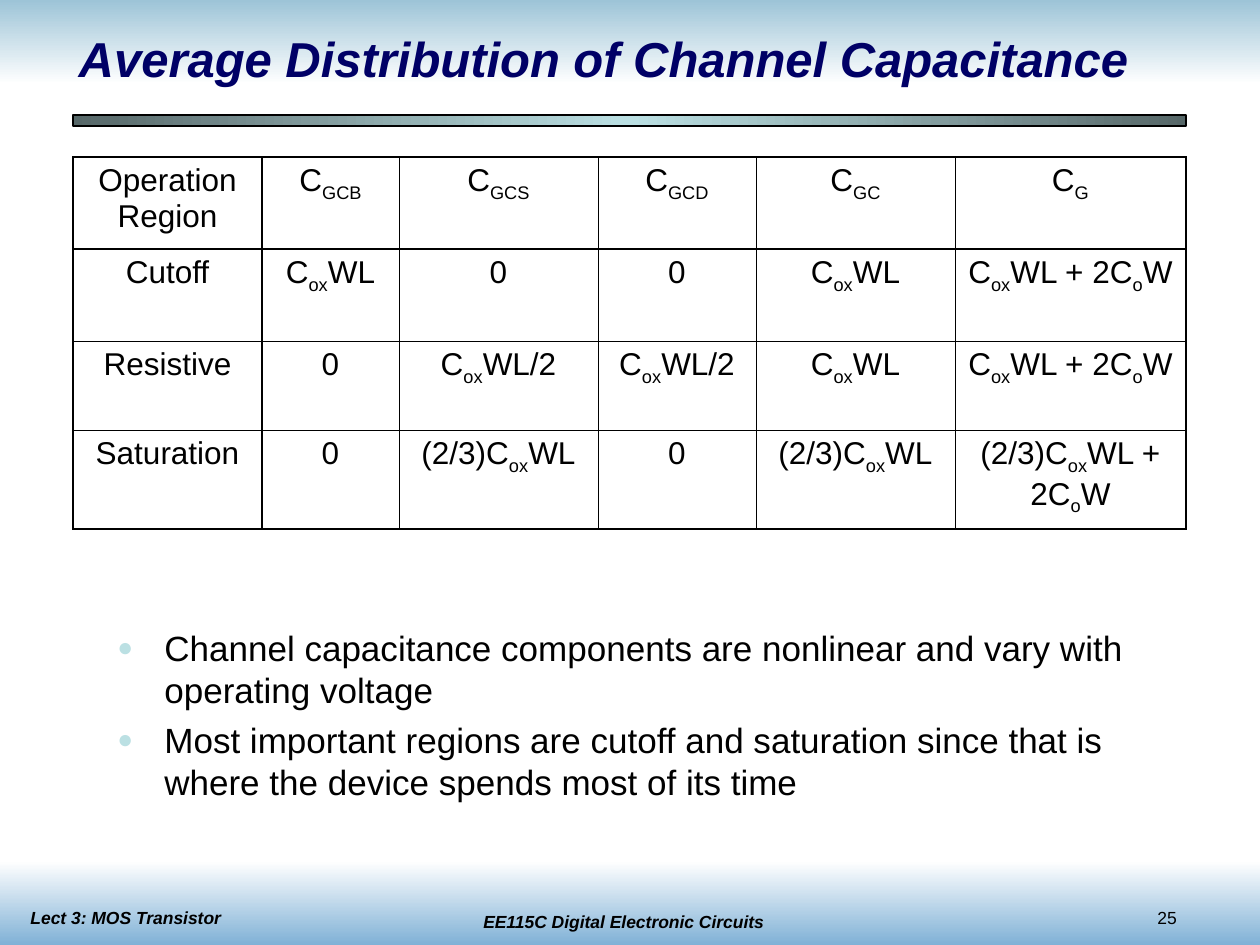
from typing import NamedTuple

from lxml.etree import SubElement
from pptx import Presentation
from pptx.dml.color import RGBColor
from pptx.enum.shapes import MSO_SHAPE
from pptx.enum.text import MSO_ANCHOR, PP_ALIGN
from pptx.oxml.ns import qn
from pptx.util import Pt

PX = 914400 / 126
FONT = "Arial"
BLACK, NAVY, AQUA = "000000", "000066", "BBE0E3"
THIN, THICK = 0.45, 1.08


class Box(NamedTuple):
    x: int
    y: int
    w: int
    h: int


class Band(NamedTuple):
    box: Box
    stops: tuple[str, ...]
    angle: int
    outline: bool = False


class Label(NamedTuple):
    text: str
    box: Box
    size: int = 10
    color: str = BLACK
    strong: bool = True
    align: PP_ALIGN = PP_ALIGN.LEFT
    anchor: MSO_ANCHOR = MSO_ANCHOR.TOP


BANDS = [
    Band(Box(0, 0, 1260, 84), ("9DC4D7", "FFFFFF"), 90),
    Band(Box(0, 861, 1260, 84), ("FFFFFF", "80B1D6"), 90),
    Band(Box(73, 115, 1113, 11), ("566768", AQUA, "566768"), 0, True),
]
LABELS = [
    Label("EE115C Digital Electronic Circuits", Box(445, 905, 357, 34), align=PP_ALIGN.CENTER),
    Label("25", Box(1145, 901, 105, 34), strong=False),
    Label("Lect 3: MOS Transistor", Box(18, 901, 357, 34)),
    Label("Average Distribution of Channel Capacitance", Box(0, 21, 1207, 74), 28, NAVY,
          align=PP_ALIGN.CENTER, anchor=MSO_ANCHOR.MIDDLE),
]
TABLE_BOX = Box(73, 157, 1113, 372)
COLS = [189, 137, 199, 158, 199, 231]
ROWS = [92, 92, 89, 99]
CELLS = [
    ["Operation Region", "C_GCB", "C_GCS", "C_GCD", "C_GC", "C_G"],
    ["Cutoff", "C_ox_WL", "0", "0", "C_ox_WL", "C_ox_WL + 2C_o_W"],
    ["Resistive", "0", "C_ox_WL/2", "C_ox_WL/2", "C_ox_WL", "C_ox_WL + 2C_o_W"],
    ["Saturation", "0", "(2/3)C_ox_WL", "0", "(2/3)C_ox_WL", "(2/3)C_ox_WL + 2C_o_W"],
]
NOTES_BOX = Box(105, 620, 1071, 220)
BULLETS = [
    "Channel capacitance components are nonlinear and vary with operating voltage",
    "Most important regions are cutoff and saturation since that is "
    "where the device spends most of its time",
]


def px(n: int) -> int:
    return round(n * PX)


def place(box: Box) -> list[int]:
    return [px(n) for n in box]


def rgb(color: str) -> RGBColor:
    return RGBColor.from_string(color)


def add_color(parent, color: str) -> None:
    SubElement(parent, qn("a:srgbClr"), val=color)


def set_font(p, size: int, color: str = BLACK, strong: bool = False) -> None:
    f = p.font
    f.name, f.size, f.bold, f.italic = FONT, Pt(size), strong, strong
    f.color.rgb = rgb(color)


def add_band(s, band: Band) -> None:
    sp = s.shapes.add_shape(MSO_SHAPE.RECTANGLE, *place(band.box))
    sp.shadow.inherit = False
    sp.fill.gradient()
    grad = sp._element.spPr.find(qn("a:gradFill"))
    for child in list(grad):
        grad.remove(child)
    stops = SubElement(grad, qn("a:gsLst"))
    for i, color in enumerate(band.stops):
        pos = 100000 * i // (len(band.stops) - 1)
        add_color(SubElement(stops, qn("a:gs"), pos=str(pos)), color)
    SubElement(grad, qn("a:lin"), ang=str(band.angle * 60000), scaled="0")
    if band.outline:
        sp.line.color.rgb = rgb(BLACK)
        sp.line.width = Pt(0.75)
    else:
        sp.line.fill.background()


def add_label(s, label: Label) -> None:
    tf = s.shapes.add_textbox(*place(label.box)).text_frame
    tf.word_wrap = True
    tf.vertical_anchor = label.anchor
    p = tf.paragraphs[0]
    p.text, p.alignment = label.text, label.align
    set_font(p, label.size, label.color, label.strong)


def add_borders(cell, row: int, col: int) -> None:
    sides = {
        "L": col < 2,
        "R": col in (0, len(COLS) - 1),
        "T": row < 2,
        "B": row in (0, len(ROWS) - 1),
    }
    props = cell._tc.get_or_add_tcPr()
    for side, thick in sides.items():
        width = Pt(THICK if thick else THIN)
        ln = SubElement(props, qn(f"a:ln{side}"), w=str(int(width)))
        add_color(SubElement(ln, qn("a:solidFill")), BLACK)


def fill_cell(cell, text: str) -> None:
    p = cell.text_frame.paragraphs[0]
    p.alignment = PP_ALIGN.CENTER
    set_font(p, 18)
    for i, part in enumerate(text.split("_")):
        r = p.add_run()
        r.text = part
        if i % 2:
            r._r.get_or_add_rPr().set("baseline", "-25000")


def add_capacitance_table(s) -> None:
    shape = s.shapes.add_table(len(ROWS), len(COLS), *place(TABLE_BOX))
    table = shape.table
    table.first_row = table.horz_banding = False
    for column, width in zip(table.columns, COLS):
        column.width = px(width)
    for row, height in zip(table.rows, ROWS):
        row.height = px(height)
    for i, texts in enumerate(CELLS):
        for j, text in enumerate(texts):
            cell = table.cell(i, j)
            add_borders(cell, i, j)
            cell.fill.background()
            fill_cell(cell, text)


def add_bullets(s) -> None:
    tf = s.shapes.add_textbox(*place(NOTES_BOX)).text_frame
    tf.word_wrap = True
    for i, text in enumerate(BULLETS):
        p = tf.add_paragraph() if i else tf.paragraphs[0]
        p.text = text
        if i:
            p.space_before = Pt(5)
        props = p._p.get_or_add_pPr()
        props.set("marL", str(px(47)))
        props.set("indent", str(-px(47)))
        add_color(SubElement(props, qn("a:buClr")), AQUA)
        SubElement(props, qn("a:buSzPct"), val="75000")
        SubElement(props, qn("a:buFont"), typeface=FONT)
        SubElement(props, qn("a:buChar"), char="●")
        set_font(p, 20)


def main() -> None:
    prs = Presentation()
    prs.slide_width, prs.slide_height = px(1260), px(945)
    s = prs.slides.add_slide(prs.slide_layouts[6])
    for band in BANDS:
        add_band(s, band)
    for label in LABELS:
        add_label(s, label)
    add_capacitance_table(s)
    add_bullets(s)
    prs.save("out.pptx")


if __name__ == "__main__":
    main()
